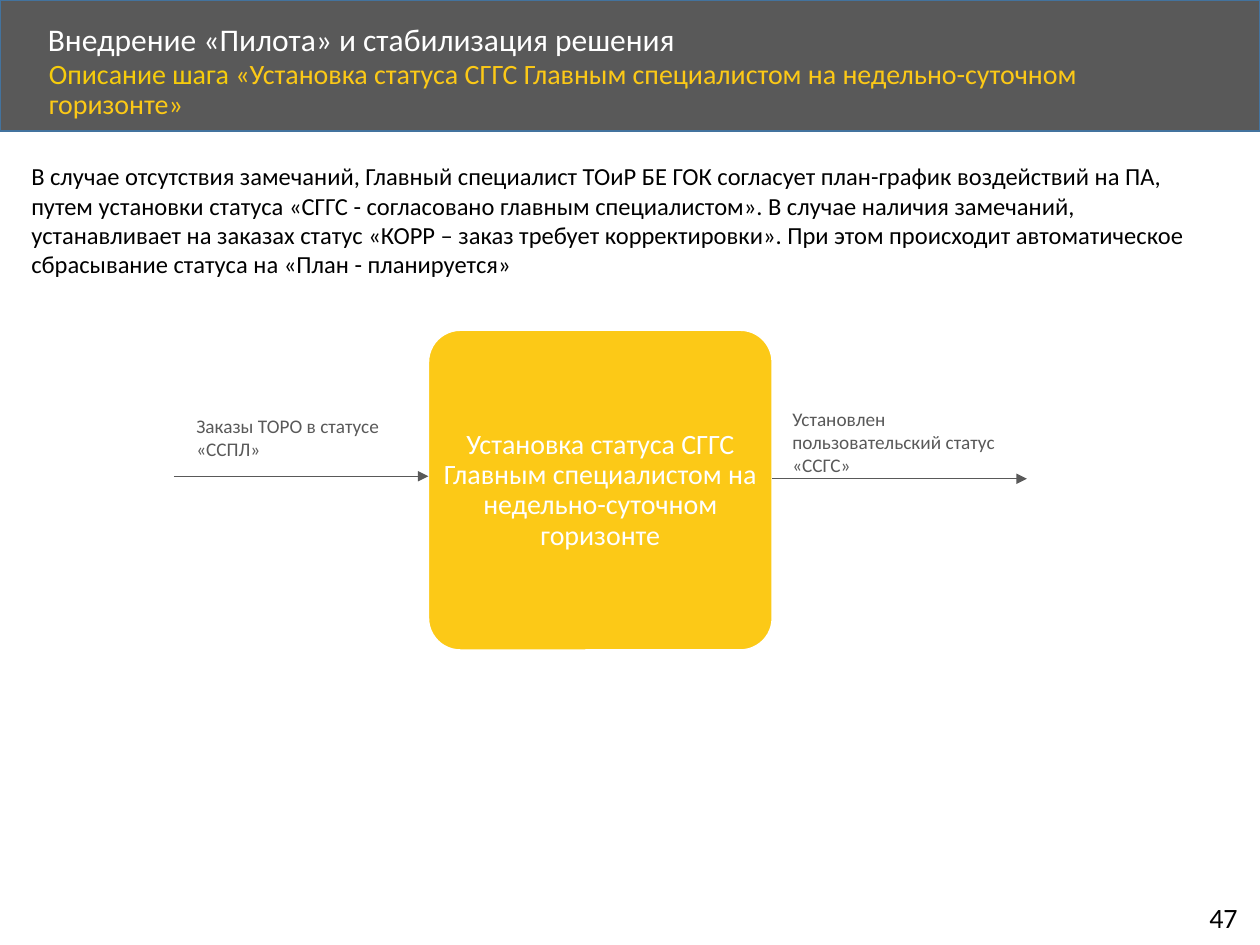
from lxml import etree
from pptx import Presentation
from pptx.dml.color import RGBColor
from pptx.enum import shapes, text
from pptx.oxml import ns
from pptx.util import Inches, Pt

COLORS = {
    "gray": "595959",
    "header_line": "43739E",
    "yellow": "FCC917",
    "subtitle": "F6CC0C",
    "white": "FFFFFF",
    "black": "000000",
}
FONT = "Calibri"


def rgb(name):
    return RGBColor.from_string(COLORS[name])


def place(sp, box):
    sp.left, sp.top, sp.width, sp.height = (Inches(v) for v in box)


def write(sp, runs, size, color="black", align=text.PP_ALIGN.LEFT,
          anchor=text.MSO_ANCHOR.TOP, spacing=1.0, wrap=True, inset=None):
    tf = sp.text_frame
    tf.auto_size = text.MSO_AUTO_SIZE.NONE
    tf.word_wrap = wrap
    tf.vertical_anchor = anchor
    if inset is not None:
        tf.margin_left = tf.margin_right = Inches(inset)
        tf.margin_top = tf.margin_bottom = Inches(inset)
    p = tf.paragraphs[0]
    p.alignment = align
    p.line_spacing = spacing
    for content, run_color in [(runs, color)] if isinstance(runs, str) else runs:
        r = p.add_run()
        r.text = content
        r.font.name = FONT
        r.font.size = Pt(size)
        r.font.color.rgb = rgb(run_color)


def add_text(s, box, runs, size, **fmt):
    sp = s.shapes.add_textbox(*(Inches(v) for v in box))
    write(sp, runs, size, **fmt)
    return sp


def add_box(s, kind, box, fill, line):
    sp = s.shapes.add_shape(kind, *(Inches(v) for v in box))
    sp.shadow.inherit = False
    sp.fill.solid()
    sp.fill.fore_color.rgb = rgb(fill)
    sp.line.color.rgb = rgb(line)
    sp.line.width = Pt(1)
    return sp


def add_arrow(s, x, y, length):
    line = s.shapes.add_connector(
        shapes.MSO_CONNECTOR.STRAIGHT,
        Inches(x), Inches(y), Inches(x + length), Inches(y))
    line.line.color.rgb = rgb("gray")
    line.line.width = Pt(0.5)
    ln = line.line._get_or_add_ln()
    etree.SubElement(ln, ns.qn("a:tailEnd"), type="triangle")
    etree.SubElement(line._element.spPr, ns.qn("a:effectLst"))


def add_header(s, box):
    x, y, w, h = box
    band = add_box(s, shapes.MSO_SHAPE.RECTANGLE, box, "gray", "header_line")
    title = s.shapes.title
    title._element.addprevious(band._element)
    place(title, (x + 0.28, y + 0.14, 8.07, 0.38))
    write(title, "Внедрение «Пилота» и стабилизация решения", 18,
          color="white", anchor=text.MSO_ANCHOR.MIDDLE, spacing=0.9)
    add_text(s, (x + 0.29, y + 0.43, 8.67, 0.45), [
        ("Описание шага ", "subtitle"),
        ("«Установка статуса СГГС Главным специалистом на "
         "недельно-суточном горизонте»", "yellow"),
    ], 16, spacing=0.9)


def add_step(s, box):
    x, y, w, h = box
    arrow = 2.02
    step = add_box(s, shapes.MSO_SHAPE.ROUNDED_RECTANGLE, box, "yellow", "white")
    step.adjustments[0] = 0.1
    add_text(s, (x + 0.06, y + 0.08, w - 0.12, h - 0.15),
             "Установка статуса СГГС Главным специалистом на "
             "недельно-суточном горизонте", 16, color="white",
             align=text.PP_ALIGN.CENTER, anchor=text.MSO_ANCHOR.MIDDLE,
             spacing=0.9, inset=0.01)
    add_arrow(s, x - arrow, y + 1.16, arrow)
    add_arrow(s, x + w, y + 1.18, arrow)
    add_text(s, (x - 1.94, y + 0.62, 2, 0.47),
             "Заказы ТОРО в статусе «ССПЛ»", 11, color="gray")
    add_text(s, (x + w + 0.06, y + 0.56, 2, 0.66),
             "Установлен пользовательский статус «ССГС»", 11, color="gray")


def main():
    prs = Presentation()
    prs.slide_width, prs.slide_height = Inches(10), Inches(7.5)
    s = prs.slides.add_slide(prs.slide_layouts.get_by_name("Title Only"))
    add_header(s, (0, 0, 10, 1.04))
    add_text(s, (0.15, 1.23, 9.46, 1.04),
             "В случае отсутствия замечаний, Главный специалист ТОиР БЕ ГОК "
             "согласует план-график воздействий на ПА, путем установки статуса "
             "«СГГС - согласовано главным специалистом». В случае наличия "
             "замечаний, устанавливает на заказах статус «КОРР – заказ требует "
             "корректировки». При этом происходит автоматическое сбрасывание "
             "статуса на «План - планируется»", 14)
    add_step(s, (3.4, 2.62, 2.73, 2.54))
    add_text(s, (9.5, 7.1, 0.46, 0.37), "47", 16, wrap=False)
    prs.save("out.pptx")


if __name__ == "__main__":
    main()
